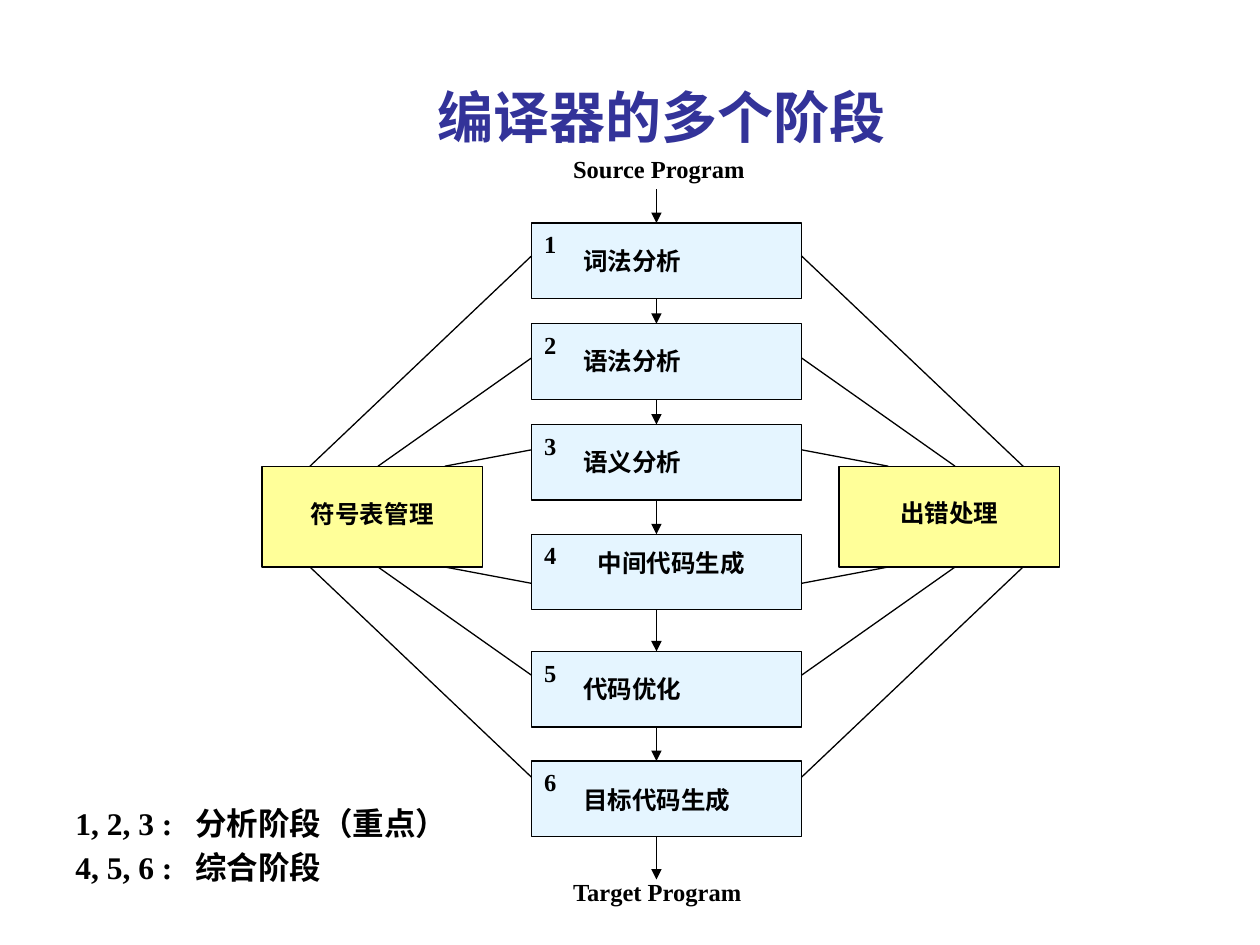
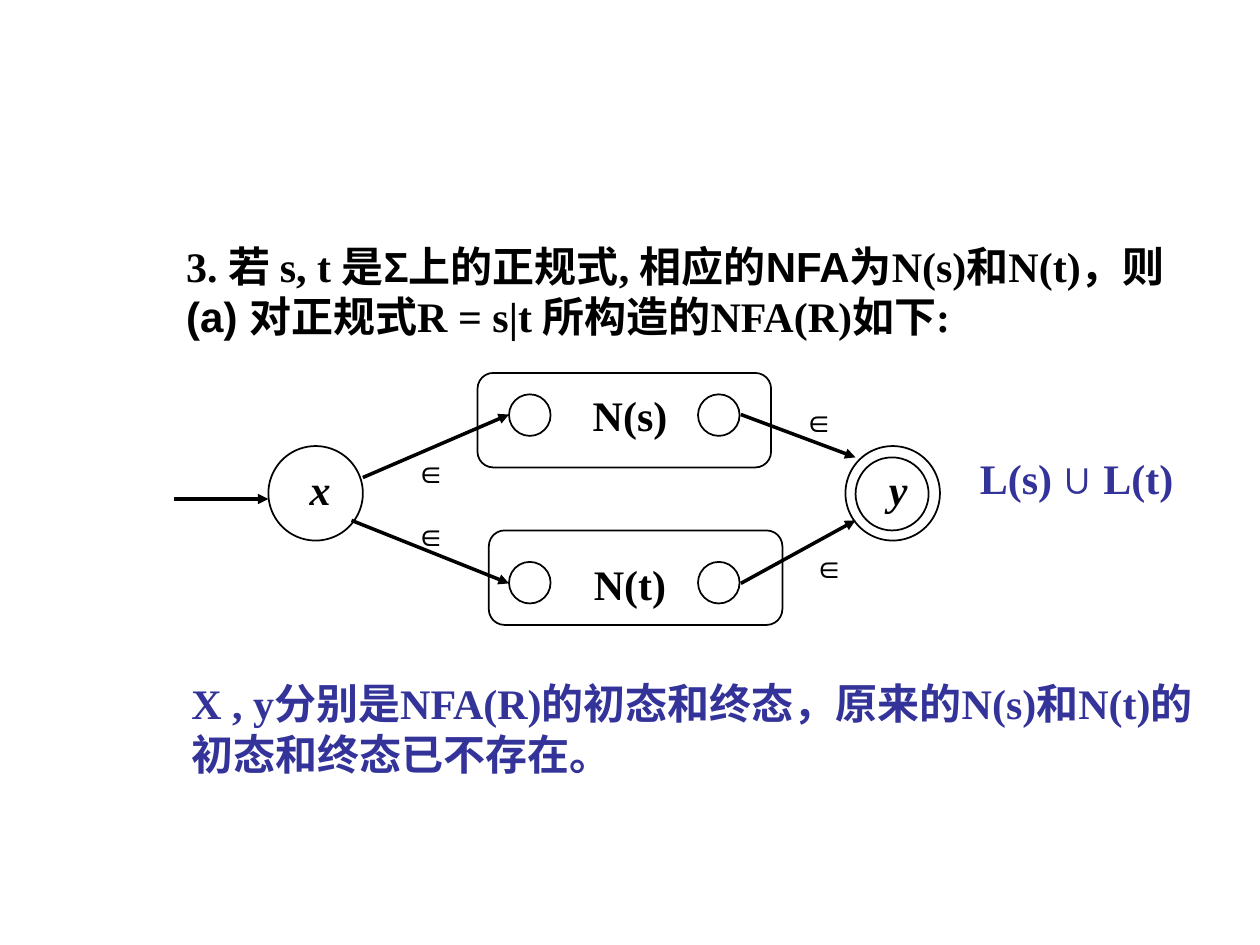
from itertools import product

from lxml import etree
from pptx import Presentation
from pptx.dml.color import RGBColor
from pptx.enum.shapes import MSO_CONNECTOR as Connector, MSO_SHAPE as Shape
from pptx.enum.text import MSO_ANCHOR as Anchor, PP_ALIGN as Align
from pptx.oxml.ns import qn
from pptx.util import Inches, Pt

COLORS = {"ink": "000000", "accent": "333399", "phase": "CCECFF", "service": "FFFF99"}
SERIF, SANS = "Times New Roman", "Arial"


def color(name):
    return RGBColor.from_string(COLORS[name])


def write_text(frame, text, size=14, font=SERIF, ink="ink", bold=True, italic=False,
               align=Align.LEFT, tab=None, spacing=None, before=0):
    """Each line is a string, or a list of (text, font) runs."""
    lines = text if isinstance(text, list) else [text]
    for index, line in enumerate(lines):
        paragraph = frame.paragraphs[0] if index == 0 else frame.add_paragraph()
        paragraph.alignment = align
        if index:
            paragraph.space_before = Pt(before)
            paragraph.line_spacing = spacing
        if tab:
            tabs = etree.SubElement(paragraph._p.get_or_add_pPr(), qn("a:tabLst"))
            etree.SubElement(tabs, qn("a:tab"), pos=str(Inches(tab)), algn="l")
        for words, face in [(line, font)] if isinstance(line, str) else line:
            run = paragraph.add_run()
            run.text = words
            run.font.name = face
            run.font.size = Pt(size)
            run.font.bold = bold
            run.font.italic = italic
            run.font.color.rgb = color(ink)


class Deck:
    def __init__(self):
        self.presentation = Presentation()
        self.presentation.slide_width = Inches(10)
        self.presentation.slide_height = Inches(7.5)
        self.slide = None
        self.line_width = 1

    def new_slide(self, line_width):
        self.slide = self.presentation.slides.add_slide(self.presentation.slide_layouts[6])
        self.line_width = line_width

    def text(self, text, left, top, width, height, anchor=Anchor.TOP, **style):
        box = self.slide.shapes.add_textbox(*map(Inches, (left, top, width, height)))
        box.text_frame.word_wrap = True
        box.text_frame.vertical_anchor = anchor
        write_text(box.text_frame, text, **style)

    def shape(self, kind, left, top, width, height, fill=None, opacity=None):
        shape = self.slide.shapes.add_shape(kind, *map(Inches, (left, top, width, height)))
        shape.shadow.inherit = False
        shape.line.color.rgb = color("ink")
        shape.line.width = Pt(self.line_width)
        if fill is None:
            shape.fill.background()
            return
        shape.fill.solid()
        shape.fill.fore_color.rgb = color(fill)
        if opacity:
            tint = shape._element.spPr.find(".//" + qn("a:srgbClr"))
            etree.SubElement(tint, qn("a:alpha"), val=str(opacity * 1000))

    def line(self, start, end, width=None, arrow=False):
        connector = self.slide.shapes.add_connector(
            Connector.STRAIGHT, *map(Inches, (*start, *end)))
        connector.line.color.rgb = color("ink")
        connector.line.width = Pt(width or self.line_width)
        if arrow:
            etree.SubElement(connector.line._get_or_add_ln(), qn("a:tailEnd"), type="triangle")
        etree.SubElement(connector._element.spPr, qn("a:effectLst"))


def build_phases(deck):
    deck.new_slide(line_width=0.75)
    deck.text("编译器的多个阶段", 0.75, 0.3, 9, 1.25, anchor=Anchor.MIDDLE,
              size=32, font=SANS, ink="accent", align=Align.CENTER)
    for program, top in (("Source Program", 1.17), ("Target Program", 6.91)):
        deck.text(program, 4.45, top, 2.06, 0.34)

    left, width, height = 4.22, 2.14, 0.6
    phases = [
        ("词法分析", 1.77, 0.13, Align.LEFT),
        ("语法分析", 2.57, 0.13, Align.LEFT),
        ("语义分析", 3.37, 0.13, Align.LEFT),
        ("中间代码生成", 4.24, 0.06, Align.CENTER),
        ("代码优化", 5.17, 0.13, Align.LEFT),
        ("目标代码生成", 6.04, 0.14, Align.LEFT),
    ]
    for number, (name, top, drop, align) in enumerate(phases, 1):
        deck.shape(Shape.RECTANGLE, left, top, width, height, "phase", opacity=50)
        deck.text(name, 4.53, top + drop, 1.6, 0.34, align=align)
        deck.text(str(number), left, top, 0.4, 0.34)

    tops = [top for _, top, _, _ in phases]
    starts = [1.5] + [top + height for top in tops]
    for start, end in zip(starts, tops + [6.98]):
        deck.line((5.21, start), (5.21, end), arrow=True)

    service_top, service_height = 3.7, 0.8
    for name, service_left, label_top in (("符号表管理", 2.08, 3.91), ("出错处理", 6.66, 3.9)):
        deck.shape(Shape.RECTANGLE, service_left, service_top, 1.75, service_height, "service")
        deck.text(name, service_left + 0.15, label_top, 1.45, 0.34, align=Align.CENTER)

    center_x = left + width / 2
    center_y = service_top + service_height / 2
    links = [(2.46, 2.03), (3, 2.84), (3.53, 3.57)]
    for side, level, (service_x, phase_y) in product((1, -1), (1, -1), links):
        deck.line((center_x - side * width / 2, center_y - level * (center_y - phase_y)),
                  (center_x - side * (center_x - service_x),
                   center_y - level * service_height / 2))

    deck.text(["1, 2, 3 :\t分析阶段（重点）", "4, 5, 6 :\t综合阶段"], 0.5, 6.33, 3.5, 0.74,
              size=18, tab=0.95, spacing=0.6, before=11.2)


def build_union(deck):
    deck.new_slide(line_width=1)
    deck.text([[("3. 若 s, t 是", SERIF), ("Σ上的正规式", SANS), (", 相应的", SERIF),
                ("NFA为", SANS), ("N(s)和N(t)，则 ", SERIF), ("(a) ", SANS),
                ("对正规式R = s|t 所构造的NFA(R)如下:", SERIF)]],
              1.38, 1.86, 8.33, 0.9, size=24)

    for left, top, diameter in ((2.13, 3.54, 0.75), (6.71, 3.54, 0.75), (6.79, 3.63, 0.58)):
        deck.shape(Shape.OVAL, left, top, diameter, diameter)
    for state, left in (("x", 2.29), ("y", 6.88)):
        deck.text(state, left, 3.63, 0.5, 0.5, size=24, italic=True, align=Align.CENTER)

    automata = [("N(s)", 3.79, 2.96, 3.13, 3.04), ("N(t)", 3.88, 4.21, 4.46, 4.38)]
    for name, left, top, state_top, label_top in automata:
        deck.shape(Shape.ROUNDED_RECTANGLE, left, top, 2.33, 0.75)
        for state_left in (4.04, 5.54):
            deck.shape(Shape.OVAL, state_left, state_top, 0.33, 0.33)
        deck.text(name, 4.54, label_top, 0.92, 0.5, size=24, align=Align.CENTER)

    transitions = [
        ((1.38, 3.96), (2.13, 3.96)),
        ((2.88, 3.79), (4.04, 3.29)),
        ((2.79, 4.13), (4.04, 4.63)),
        ((5.88, 3.29), (6.79, 3.63)),
        ((5.88, 4.63), (6.79, 4.13)),
    ]
    for start, end in transitions:
        deck.line(start, end, width=2, arrow=True)
    for left, top in ((3.13, 3.54), (3.13, 4.04), (6.21, 3.13), (6.29, 4.29)):
        deck.text("∈", left, top, 0.58, 0.4, size=18, font=SANS, align=Align.CENTER)

    deck.text([[("L(s) ", SERIF), ("∪", SANS), (" L(t)", SERIF)]],
              7.63, 3.54, 1.83, 0.5, size=24, ink="accent", align=Align.CENTER)
    deck.text("X , y分别是NFA(R)的初态和终态，原来的N(s)和N(t)的初态和终态已不存在。",
              1.42, 5.33, 8.25, 0.9, size=24, ink="accent")


def main():
    deck = Deck()
    build_phases(deck)
    build_union(deck)
    deck.presentation.save("out.pptx")


if __name__ == "__main__":
    main()
